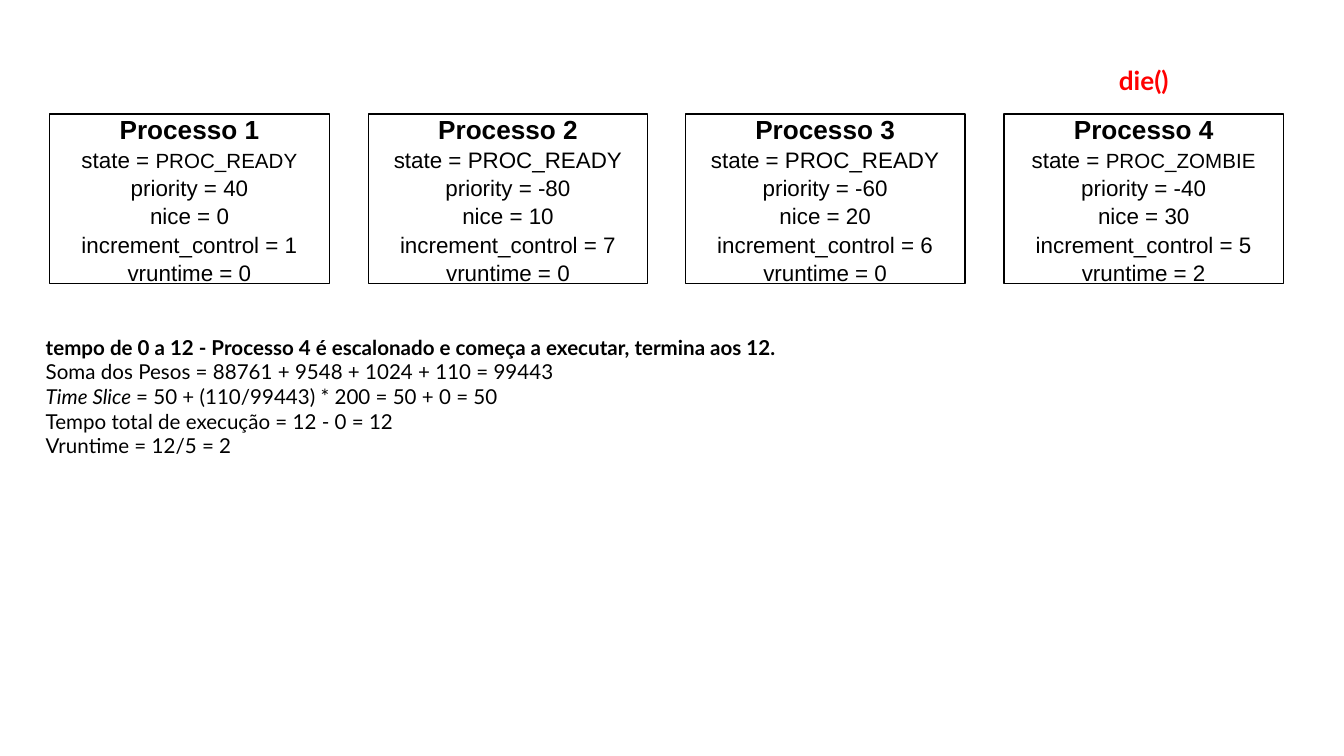
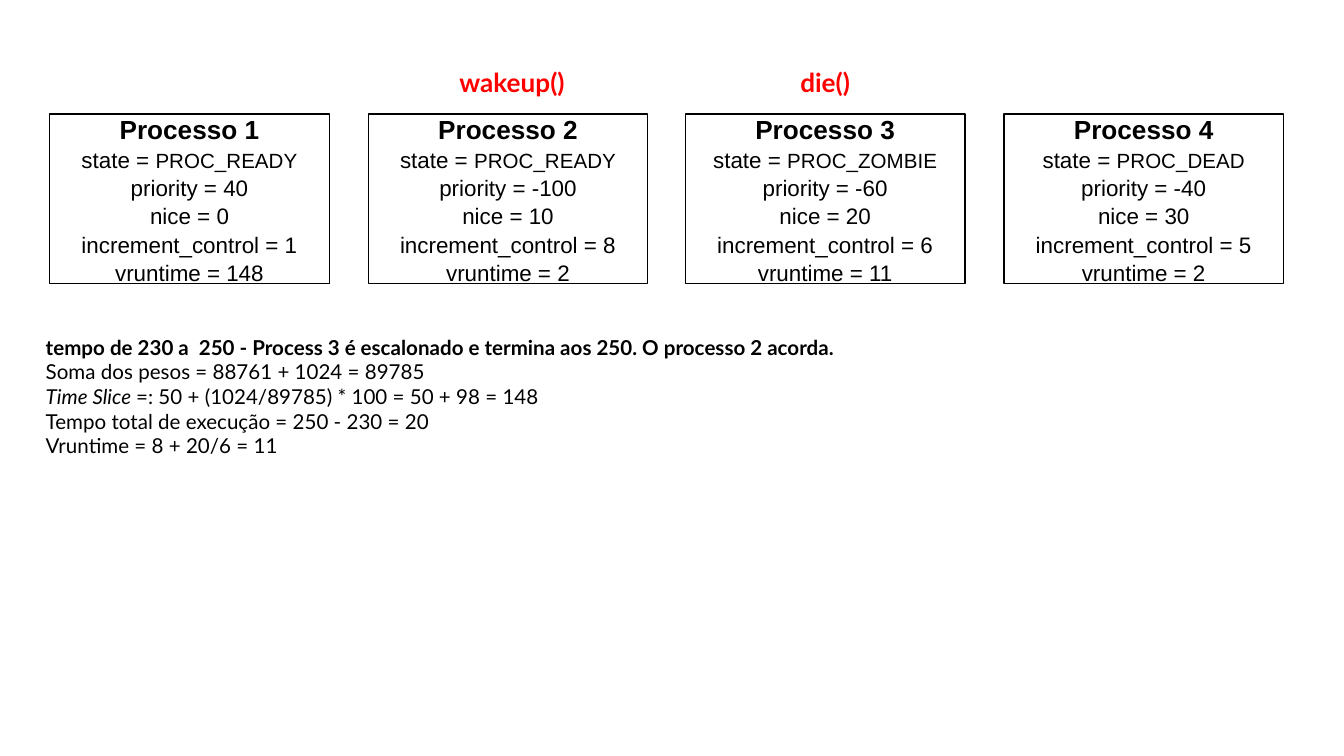
from dataclasses import dataclass, replace

from lxml.etree import SubElement
from pptx import Presentation
from pptx.dml.color import RGBColor
from pptx.enum.shapes import MSO_SHAPE
from pptx.enum.text import MSO_ANCHOR, MSO_AUTO_SIZE, PP_ALIGN
from pptx.oxml.ns import qn
from pptx.util import Pt

PX = 9144  # EMU per px, 100 px to the inch
SLIDE_W = 1000
INSET = 10
BOX_LEFT, BOX_TOP, BOX_W, BOX_H = 37, 85, 208, 126
LAST_BOX_LEFT = 747
BOX_COUNT = 4
LABEL_W, LABEL_H = 152, 29
NOTES_AREA = (24, 239, 910, 303)


@dataclass(frozen=True)
class TextStyle:
    font: str
    size: int
    color: RGBColor
    bold: bool = False
    italic: bool = False


@dataclass(frozen=True)
class Theme:
    paper = RGBColor(0xFF, 0xFF, 0xFF)
    ink = RGBColor(0, 0, 0)
    call_color = RGBColor(0xFF, 0, 0)
    border = 0.75
    box_spacing = 1.05
    call = TextStyle("Lato", 14, call_color, bold=True)
    note = TextStyle("Lato", 11, ink)
    note_head = replace(note, bold=True)
    note_term = replace(note, italic=True)
    field = TextStyle("Arial", 12, ink)
    small_field = replace(field, size=11)
    box_head = replace(field, size=14, bold=True)


@dataclass(frozen=True)
class Process:
    state: str
    priority: int
    nice: int
    increment: int
    vruntime: int
    small_state: bool = True


class Deck:
    def __init__(self, theme):
        self.theme = theme
        self.prs = Presentation()
        self.prs.slide_width = SLIDE_W * PX
        self.prs.slide_height = self.prs.slide_width * 9 // 16
        self.slide = None

    def new_slide(self):
        self.slide = self.prs.slides.add_slide(self.prs.slide_layouts[1])
        title = self.slide.shapes.title._element
        title.getparent().remove(title)
        fill = self.slide.background.fill
        fill.solid()
        fill.fore_color.rgb = self.theme.paper

    def set_text(self, sp, paragraphs, align, anchor=MSO_ANCHOR.TOP, spacing=1.0):
        """Fill a shape; each paragraph is a list of (text, style) runs."""
        tf = sp.text_frame
        tf.word_wrap = True
        tf.auto_size = MSO_AUTO_SIZE.NONE
        tf.vertical_anchor = anchor
        tf.margin_left = tf.margin_right = INSET * PX
        tf.margin_top = tf.margin_bottom = INSET * PX
        for i, runs in enumerate(paragraphs):
            p = tf.add_paragraph() if i else tf.paragraphs[0]
            p.alignment = align
            p.line_spacing = spacing
            p.space_before = Pt(0)
            for text, style in runs:
                r = p.add_run()
                r.text = text
                r.font.name = style.font
                r.font.size = Pt(style.size)
                r.font.color.rgb = style.color
                r.font.bold = style.bold
                r.font.italic = style.italic

    def process_box(self, index, process):
        t = self.theme
        step = (LAST_BOX_LEFT - BOX_LEFT) / (BOX_COUNT - 1)
        left = round(BOX_LEFT + index * step)
        sp = self.slide.shapes.add_shape(
            MSO_SHAPE.RECTANGLE, left * PX, BOX_TOP * PX, BOX_W * PX, BOX_H * PX)
        sp.shadow.inherit = False
        sp.fill.solid()
        sp.fill.fore_color.rgb = t.paper
        sp.line.color.rgb = t.ink
        sp.line.width = Pt(t.border)
        if process.small_state:
            state = [("state = ", t.field), (process.state, t.small_field)]
        else:
            state = [(f"state = {process.state}", t.field)]
        fields = [f"priority = {process.priority}",
                  f"nice = {process.nice}",
                  f"increment_control = {process.increment}",
                  f"vruntime = {process.vruntime}"]
        paragraphs = [[(f"Processo {index + 1}", t.box_head)], state]
        paragraphs += [[(field, t.field)] for field in fields]
        self.set_text(sp, paragraphs, PP_ALIGN.CENTER, MSO_ANCHOR.MIDDLE, t.box_spacing)

    def call_label(self, text, left, top):
        sp = self.slide.shapes.add_textbox(
            left * PX, top * PX, LABEL_W * PX, LABEL_H * PX)
        self.set_text(sp, [[(text, self.theme.call)]], PP_ALIGN.CENTER)

    def notes(self, heading, weights, time_slice, total, vruntime):
        """Explain the scheduling step in the body placeholder."""
        t = self.theme
        sp = self.slide.placeholders[1]
        sp.left, sp.top, sp.width, sp.height = (n * PX for n in NOTES_AREA)
        self.set_text(sp, [
            [(heading, t.note_head)],
            [(weights, t.note)],
            [("Time Slice ", t.note_term), (time_slice, t.note)],
            [(f"Tempo total de execução = {total}", t.note)],
            [(f"Vruntime = {vruntime}", t.note)],
        ], PP_ALIGN.LEFT)
        for p in sp.text_frame.paragraphs:
            pPr = p._p.get_or_add_pPr()
            pPr.set("marL", "0")
            pPr.set("indent", "0")
            SubElement(pPr, qn("a:buNone"))


STEPS = [
    {
        "processes": [
            Process("PROC_READY", 40, 0, 1, 0),
            Process("PROC_READY", -80, 10, 7, 0, small_state=False),
            Process("PROC_READY", -60, 20, 6, 0, small_state=False),
            Process("PROC_ZOMBIE", -40, 30, 5, 2),
        ],
        "calls": [("die()", 775, 38)],
        "notes": (
            "tempo de 0 a 12 - Processo 4 é escalonado e começa a executar, termina aos 12.",
            "Soma dos Pesos = 88761 + 9548 + 1024 + 110 = 99443",
            "= 50 + (110/99443) * 200 = 50 + 0 = 50",
            "12 - 0 = 12",
            "12/5 = 2",
        ),
    },
    {
        "processes": [
            Process("PROC_READY", 40, 0, 1, 148),
            Process("PROC_READY", -100, 10, 8, 2),
            Process("PROC_ZOMBIE", -60, 20, 6, 11),
            Process("PROC_DEAD", -40, 30, 5, 2),
        ],
        "calls": [("wakeup()", 305, 39), ("die()", 538, 39)],
        "notes": (
            "tempo de 230 a  250 - Process 3 é escalonado e termina aos 250. O processo 2 acorda.",
            "Soma dos pesos = 88761 + 1024 = 89785",
            "=: 50 + (1024/89785) * 100 = 50 + 98 = 148",
            "250 - 230 = 20",
            "8 + 20/6 = 11",
        ),
    },
]


def main():
    deck = Deck(Theme())
    for step in STEPS:
        deck.new_slide()
        deck.notes(*step["notes"])
        for i, process in enumerate(step["processes"]):
            deck.process_box(i, process)
        for call in step["calls"]:
            deck.call_label(*call)
    deck.prs.save("out.pptx")


if __name__ == "__main__":
    main()
